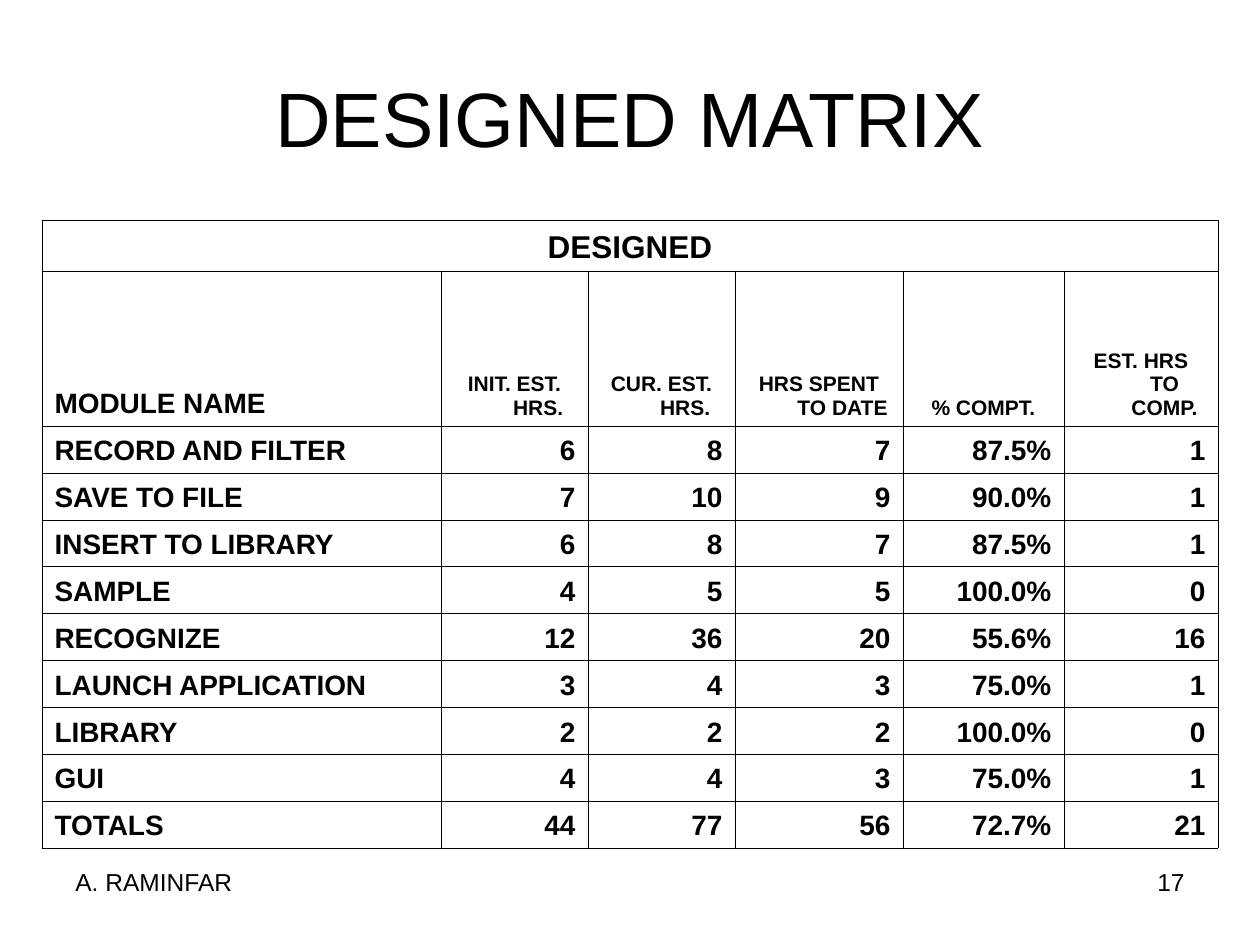
from pptx import Presentation
from pptx import util as u
from pptx.dml.color import RGBColor
from pptx.enum import text
from pptx.oxml import parse_xml
from pptx.oxml.ns import nsdecls

LEFT, CENTER, RIGHT = text.PP_ALIGN.LEFT, text.PP_ALIGN.CENTER, text.PP_ALIGN.RIGHT
TOP, MIDDLE, BOTTOM = text.MSO_ANCHOR.TOP, text.MSO_ANCHOR.MIDDLE, text.MSO_ANCHOR.BOTTOM

HEADERS = ["MODULE NAME", "INIT. EST. HRS.", "CUR. EST. HRS.",
           "HRS SPENT TO DATE", "% COMPT.", "EST. HRS TO COMP."]
MODULES = [
    ["RECORD AND FILTER", "6", "8", "7", "87.5%", "1"],
    ["SAVE TO FILE", "7", "10", "9", "90.0%", "1"],
    ["INSERT TO LIBRARY", "6", "8", "7", "87.5%", "1"],
    ["SAMPLE", "4", "5", "5", "100.0%", "0"],
    ["RECOGNIZE", "12", "36", "20", "55.6%", "16"],
    ["LAUNCH APPLICATION", "3", "4", "3", "75.0%", "1"],
    ["LIBRARY", "2", "2", "2", "100.0%", "0"],
    ["GUI", "4", "4", "3", "75.0%", "1"],
    ["TOTALS", "44", "77", "56", "72.7%", "21"],
]
COL_WIDTHS = [228, 84, 84, 96, 92, 88]
ROW_HEIGHTS = [29, 88.5] + [26.8] * len(MODULES)


def color(hex_str):
    return RGBColor.from_string(hex_str)


def write(tf, content, size, ink, font, bold=False, align=LEFT, hanging=0):
    p = tf.paragraphs[0]
    p.alignment = align
    if hanging:
        pPr = p._p.get_or_add_pPr()
        pPr.set("marL", str(u.Pt(hanging)))
        pPr.set("indent", str(-u.Pt(hanging)))
    r = p.add_run()
    r.text = content
    r.font.name = font
    r.font.size = u.Pt(size)
    r.font.bold = bold
    r.font.color.rgb = color(ink)


class Deck:
    font = "Arial"
    ink = "000000"
    border = 0.45
    hanging = 27

    def __init__(self, width, height):
        self.prs = Presentation()
        self.prs.slide_width, self.prs.slide_height = u.Pt(width), u.Pt(height)
        self.s = self.prs.slides.add_slide(self.prs.slide_layouts[6])

    def label(self, content, x, y, w, h, size, align=LEFT, anchor=TOP):
        sp = self.s.shapes.add_textbox(u.Pt(x), u.Pt(y), u.Pt(w), u.Pt(h))
        tf = sp.text_frame
        tf.word_wrap = True
        tf.vertical_anchor = anchor
        write(tf, content, size, self.ink, self.font, align=align)

    def outline(self, cell):
        tcPr = cell._tc.get_or_add_tcPr()
        for i, side in enumerate("LRTB"):
            tcPr.insert(i, parse_xml(
                f'<a:ln{side} {nsdecls("a")} w="{u.Pt(self.border)}"><a:solidFill>'
                f'<a:srgbClr val="{self.ink}"/></a:solidFill></a:ln{side}>'))

    def fill_cell(self, cell, content, size, align):
        cell.vertical_anchor = BOTTOM
        write(cell.text_frame, content, size, self.ink, self.font,
              bold=True, align=align, hanging=self.hanging)

    def matrix(self, x, y, heading, headers, rows, widths, heights):
        tbl = self.s.shapes.add_table(
            len(heights), len(widths), u.Pt(x), u.Pt(y),
            u.Pt(sum(widths)), u.Pt(sum(heights))).table
        tbl.first_row = tbl.horz_banding = False
        for col, width in zip(tbl.columns, widths):
            col.width = u.Pt(width)
        for row, height in zip(tbl.rows, heights):
            row.height = u.Pt(height)
        for cell in tbl.iter_cells():
            cell.fill.background()
            self.outline(cell)
        tbl.cell(0, 0).merge(tbl.cell(0, len(widths) - 1))
        self.fill_cell(tbl.cell(0, 0), heading, 18, CENTER)
        for i, values in enumerate([headers] + rows, 1):
            for j, value in enumerate(values):
                size = 12 if i == 1 and j else 16
                align = LEFT if j == 0 else CENTER if i == 1 else RIGHT
                self.fill_cell(tbl.cell(i, j), value, size, align)

    def save(self):
        self.prs.save("out.pptx")


def main():
    deck = Deck(720, 540)
    deck.label("DESIGNED MATRIX", 36, 21.6, 648, 90, 44, CENTER, MIDDLE)
    deck.matrix(24, 126, "DESIGNED", HEADERS, MODULES, COL_WIDTHS, ROW_HEIGHTS)
    deck.label("17", 516, 492, 168, 37.5, 14, RIGHT)
    deck.label("A. RAMINFAR", 36, 492, 168, 37.5, 14)
    deck.save()


if __name__ == "__main__":
    main()
